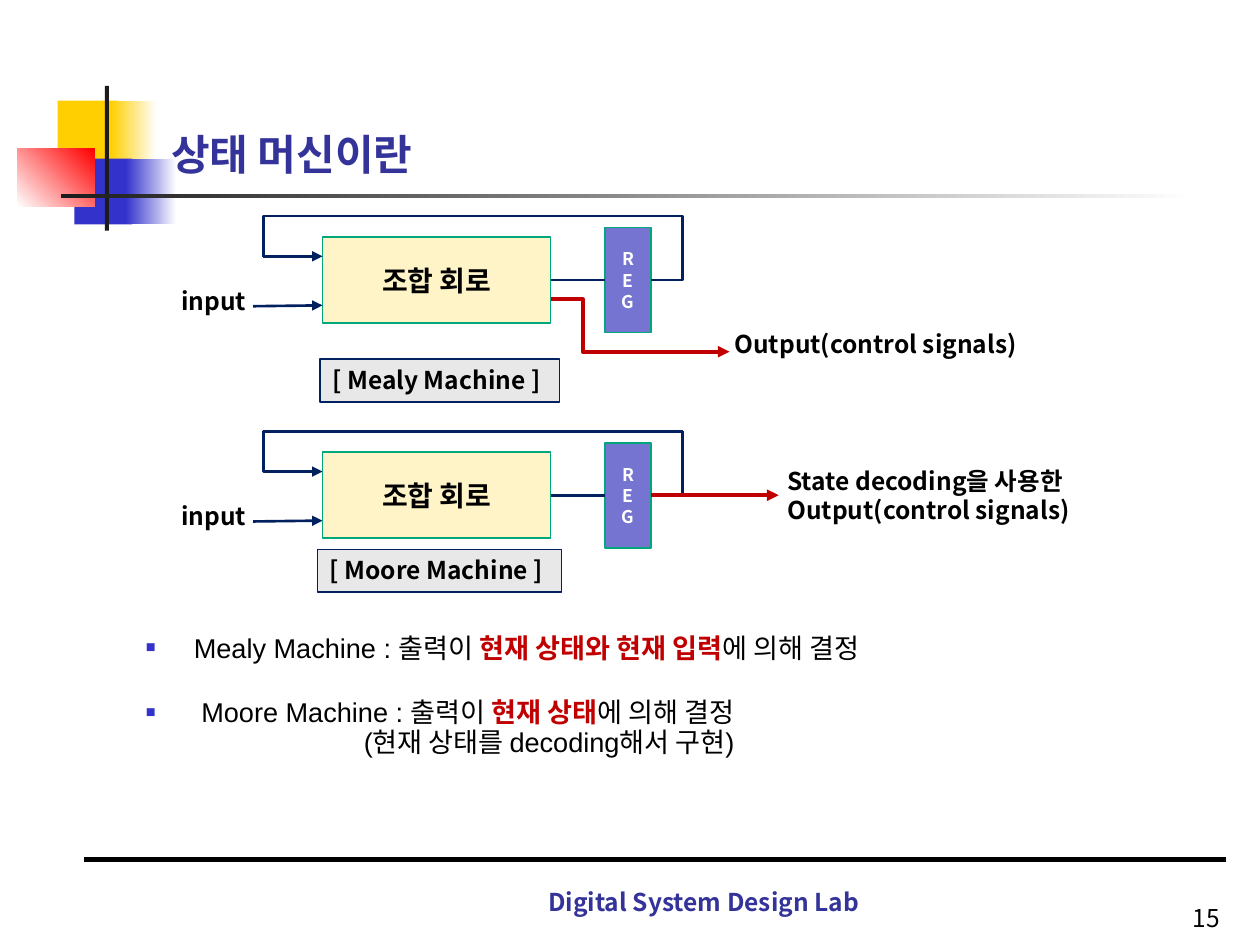
import pptx
import pptx.dml.color
import pptx.enum.shapes
import pptx.enum.text
import pptx.oxml
import pptx.oxml.ns
import pptx.util

Pt = pptx.util.Pt
ALIGN = pptx.enum.text.PP_ALIGN
ANCHOR = pptx.enum.text.MSO_ANCHOR
RECTANGLE = pptx.enum.shapes.MSO_SHAPE.RECTANGLE
STRAIGHT = pptx.enum.shapes.MSO_CONNECTOR.STRAIGHT
TOP, LEFT, BOTTOM, RIGHT = range(4)

COLORS = {
    "black": "000000", "white": "FFFFFF", "yellow": "FFCF01", "blue": "3333CC",
    "red": "FF0000", "charcoal": "1C1C1C", "heading": "333399", "navy": "002060",
    "crimson": "C00000", "green": "00A77A", "cream": "FFF4C8", "violet": "7575D1",
    "gray": "E8E8E8",
}
KOREAN_FONT = "Noto Sans CJK KR"


def color(name):
    return pptx.dml.color.RGBColor.from_string(COLORS[name])


def add_xml(parent, tag, **attributes):
    element = pptx.oxml.parse_xml(f"<a:{tag} {pptx.oxml.ns.nsdecls('a')}/>")
    for name, value in attributes.items():
        element.set(name, value)
    parent.append(element)
    return element


def add_bullet(paragraph):
    properties = paragraph._p.get_or_add_pPr()
    add_xml(add_xml(properties, "buClr"), "srgbClr", val=COLORS["blue"])
    add_xml(properties, "buSzPct", val="60000")
    add_xml(properties, "buFont", typeface="Arial")
    add_xml(properties, "buChar", char="■")


def write(paragraph, text, size=14, font=KOREAN_FONT, ink="black", bold=True,
          align=ALIGN.LEFT):
    """Add one formatted run to the paragraph."""
    paragraph.alignment = align
    run = paragraph.add_run()
    run.text = text
    run.font.size = Pt(size)
    run.font.name = font
    run.font.bold = bold
    run.font.color.rgb = color(ink)
    add_xml(run._r.get_or_add_rPr(), "ea", typeface=KOREAN_FONT)


class SlideBuilder:
    """Draws styled elements on one slide; all lengths are in points."""

    def __init__(self, slide):
        self.slide = slide
        self.shapes = slide.shapes

    def rectangle(self, box, fill, outline=None, width=1):
        shape = self.shapes.add_shape(RECTANGLE, *map(Pt, box))
        shape.shadow.inherit = False
        shape.fill.solid()
        shape.fill.fore_color.rgb = color(fill)
        if outline:
            shape.line.color.rgb = color(outline)
            shape.line.width = Pt(width)
        else:
            shape.line.fill.background()
        return shape

    def gradient(self, box, start, end, angle=0):
        shape = self.rectangle(box, start)
        shape.fill.gradient()
        shape.fill.gradient_angle = angle
        for stop, name in zip(shape.fill.gradient_stops, (start, end)):
            stop.color.rgb = color(name)

    def fill_text(self, shape, lines, anchor=ANCHOR.TOP, wrap=True, **style):
        frame = shape.text_frame
        frame.word_wrap = wrap
        frame.vertical_anchor = anchor
        if not wrap:
            frame.auto_size = pptx.enum.text.MSO_AUTO_SIZE.SHAPE_TO_FIT_TEXT
        for index, line in enumerate(lines):
            paragraph = frame.add_paragraph() if index else frame.paragraphs[0]
            write(paragraph, line, **style)

    def text(self, box, *lines, **style):
        self.fill_text(self.shapes.add_textbox(*map(Pt, box)), lines, **style)

    def text_rectangle(self, box, lines, fill, outline, width=1, **style):
        shape = self.rectangle(box, fill, outline, width)
        self.fill_text(shape, lines, **style)
        return shape

    def style_line(self, shape, ink, width, arrow):
        shape.line.color.rgb = color(ink)
        shape.line.width = Pt(width)
        if arrow:
            add_xml(shape.line._get_or_add_ln(), "tailEnd", type="triangle")

    def line(self, start, end, ink="navy", width=1.5, arrow=False):
        connector = self.shapes.add_connector(STRAIGHT, *map(Pt, start + end))
        self.style_line(connector, ink, width, arrow)
        add_xml(connector._element.spPr, "effectLst")
        return connector

    def routed_arrow(self, points, ink="navy", width=1.5):
        """Draw an open right-angled path with an arrowhead at its last point."""
        corners = [(Pt(x), Pt(y)) for x, y in points]
        builder = self.shapes.build_freeform(*corners[0], scale=1.0)
        builder.add_line_segments(corners[1:], close=False)
        shape = builder.convert_to_shape()
        shape.fill.background()
        self.style_line(shape, ink, width, arrow=True)
        shape.shadow.inherit = False

    def machine(self, center, caption, caption_box):
        """Draw logic block, register, input and feedback around a center line."""
        logic = self.text_rectangle(
            (184.3, center - 24.5, 130.3, 49), ["조합 회로"], "cream", "green",
            size=16, anchor=ANCHOR.MIDDLE, align=ALIGN.CENTER)
        register = self.text_rectangle(
            (345.6, center - 30, 26.6, 60), "REG", "violet", "green",
            size=10, ink="white", anchor=ANCHOR.MIDDLE, align=ALIGN.CENTER)
        link = self.line((314.6, center), (345.6, center))
        link.begin_connect(logic, RIGHT)
        link.end_connect(register, LEFT)
        self.line((144.7, center + 15), (184.3, center + 14.5), arrow=True)
        self.text((96.5, center, 51.8, 24.5), "input", wrap=False)
        self.routed_arrow([
            (372.2, center), (390.2, center), (390.2, center - 36.5),
            (150.5, center - 36.5), (150.5, center - 13.5), (184.3, center - 13.5)])
        self.text_rectangle(caption_box, [caption], "gray", "navy", 0.75, wrap=False)
        return register

    def definitions(self, box, items):
        """Each item is (runs, left margin, space before, has bullet)."""
        frame = self.shapes.add_textbox(*map(Pt, box)).text_frame
        frame.word_wrap = True
        for index, (runs, margin, space, bulleted) in enumerate(items):
            paragraph = frame.add_paragraph() if index else frame.paragraphs[0]
            properties = paragraph._p.get_or_add_pPr()
            properties.set("marL", str(Pt(margin)))
            if bulleted:
                properties.set("indent", str(-Pt(margin)))
                add_bullet(paragraph)
            paragraph.line_spacing = 0.8
            if space:
                paragraph.space_before = Pt(space)
            for text, strong in runs:
                write(paragraph, text, size=15.5, font="Arial", bold=strong,
                      ink="crimson" if strong else "black")


def main():
    presentation = pptx.Presentation()
    presentation.slide_width, presentation.slide_height = Pt(720), Pt(540)
    builder = SlideBuilder(presentation.slides.add_slide(presentation.slide_layouts[6]))

    builder.rectangle((33, 57.5, 34.5, 37.5), "yellow")
    builder.gradient((63.4, 57.5, 26, 37.5), "yellow", "white")
    builder.rectangle((42.5, 90.7, 33, 37.5), "blue")
    builder.gradient((72, 90.7, 28.8, 37.5), "blue", "white")
    builder.gradient((10, 85, 44, 33.1), "white", "red", angle=45)
    builder.rectangle((60, 49, 2.2, 82.8), "charcoal")
    builder.gradient((34.6, 111, 648, 2.2), "charcoal", "white")
    builder.line((48.2, 491), (700.6, 491), "black", 3)

    builder.text((90.7, 54.7, 613.4, 51.1), "상태 머신이란", size=24,
                 ink="heading", anchor=ANCHOR.BOTTOM)
    builder.text((288, 491, 228.2, 36), "Digital System Design Lab",
                 ink="heading", anchor=ANCHOR.BOTTOM, align=ALIGN.CENTER)
    builder.text((554.4, 500.4, 149.8, 36), "15", bold=False,
                 anchor=ANCHOR.BOTTOM, align=ALIGN.RIGHT)

    builder.machine(160, "[ Mealy Machine ]", (182.9, 205.2, 136.8, 24.5))
    builder.routed_arrow([(314.6, 171), (333, 171), (333, 201), (416.9, 201)],
                         "crimson", 2.25)
    builder.text((412.6, 184.3, 177.8, 24.5), "Output(control signals)", wrap=False)

    register = builder.machine(283, "[ Moore Machine ]", (181.4, 313.9, 139.7, 24.5))
    output = builder.line((372.2, 283), (445, 283), "crimson", 2.25, arrow=True)
    output.begin_connect(register, RIGHT)
    builder.text((442.8, 262.8, 177.8, 41), "State decoding을 사용한",
                 "Output(control signals)", wrap=False)

    builder.definitions((76.3, 360.7, 612, 139.7), [
        ([("Mealy Machine : 출력이 ", False), ("현재 상태와 현재 입력", True),
          ("에 의해 결정", False)], 27.4, 0, True),
        ([("Moore Machine : 출력이 ", False), ("현재 상태", True),
          ("에 의해 결정", False)], 31.7, 22, True),
        ([("(현재 상태를 decoding해서 구현)", False)], 124.5, 2, False),
    ])
    presentation.save("out.pptx")


if __name__ == "__main__":
    main()
